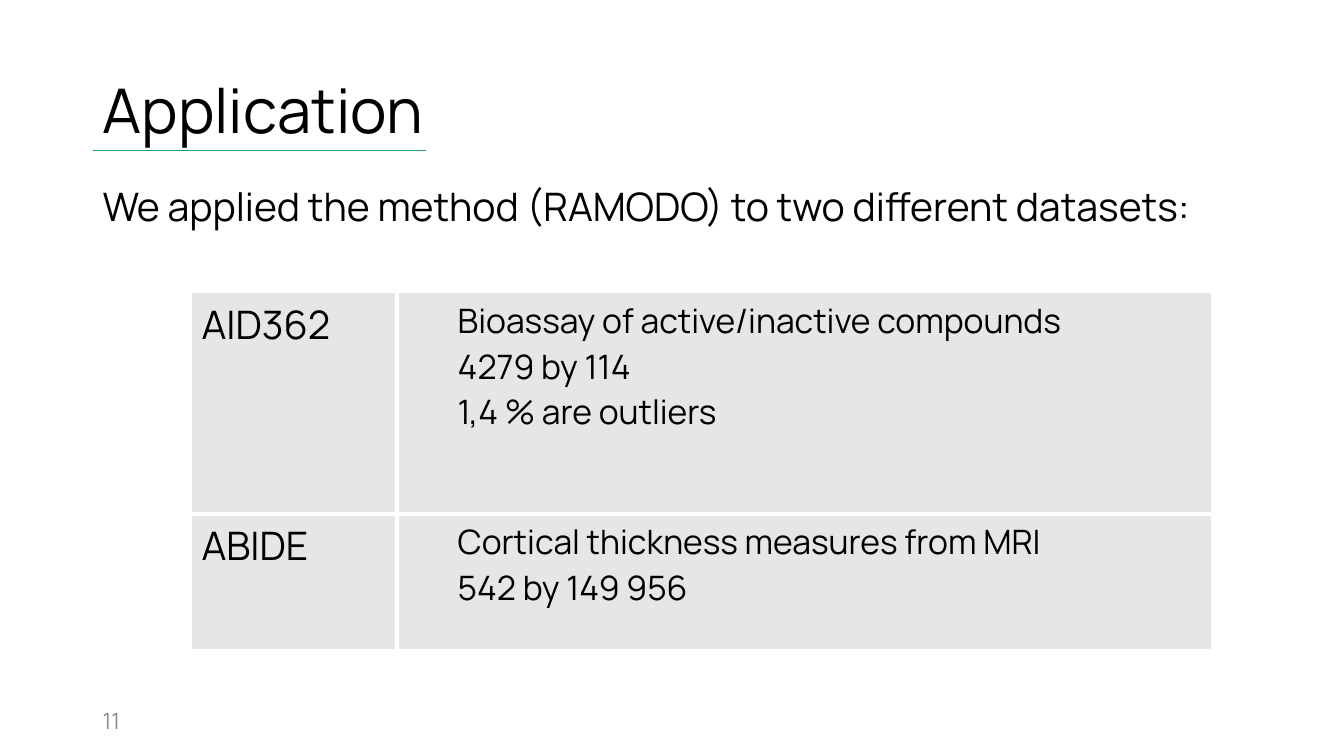
from lxml import etree
from pptx import Presentation
from pptx import util as u
from pptx.dml.color import RGBColor
from pptx.enum import shapes, text
from pptx.oxml import ns

FONT = "Manrope"
BLACK, GREY, WHITE, PANEL, GREEN = "000000", "8C8C8C", "FFFFFF", "E7E6E6", "1D9A78"
MARGIN = 0.92
DATASETS = [
    ("AID362", ["Bioassay of active/inactive compounds", "4279 by 114", "1,4 % are outliers"]),
    ("ABIDE", ["Cortical thickness measures from MRI", "542 by 149 956"]),
]


def rgb(value):
    """Turn a hex string into a colour."""
    return RGBColor.from_string(value)


def write(frame, lines, size, color=BLACK, spacing=None, before=0, indent=0):
    """Fill a text frame with one formatted paragraph per line."""
    frame.word_wrap = True
    for index, line in enumerate(lines):
        paragraph = frame.paragraphs[0] if index == 0 else frame.add_paragraph()
        paragraph.space_before = u.Pt(before)
        if spacing:
            paragraph.line_spacing = spacing
        if indent:
            paragraph.level = 1
            properties = paragraph._p.get_or_add_pPr()
            properties.set("marL", str(u.Inches(indent)))
            properties.set("indent", "0")
        run = paragraph.add_run()
        run.text = line
        run.font.size = u.Pt(size)
        run.font.name = FONT
        run.font.color.rgb = rgb(color)


def add_text(slide, box, line, size, anchor=text.MSO_ANCHOR.MIDDLE, **style):
    """Place a line of text in the given box."""
    frame = slide.shapes.add_textbox(*map(u.Inches, box)).text_frame
    frame.vertical_anchor = anchor
    write(frame, [line], size, **style)


def add_heading(slide, box):
    """Place the title with its thin underline."""
    left, top, width, height = box
    add_text(slide, box, "Application", 44, spacing=0.9)
    rule_y = u.Inches(top + 1.09)
    underline = slide.shapes.add_connector(
        shapes.MSO_CONNECTOR.STRAIGHT, u.Inches(left), rule_y, u.Inches(left + 3.31), rule_y)
    underline.line.color.rgb = rgb(GREEN)
    underline.line.width = u.Pt(0.5)
    etree.SubElement(underline._element.spPr, ns.qn("a:effectLst"))


def add_border(cell, side):
    """Draw a white border on one side of a cell."""
    border = etree.SubElement(cell._tc.get_or_add_tcPr(), ns.qn("a:ln" + side), w=str(u.Pt(3)))
    fill = etree.SubElement(border, ns.qn("a:solidFill"))
    etree.SubElement(fill, ns.qn("a:srgbClr"), val=WHITE)


def add_datasets(slide, box):
    """Place the table of datasets and their descriptions."""
    table = slide.shapes.add_table(len(DATASETS), 2, *map(u.Inches, box)).table
    table.first_row = table.horz_banding = False
    for column, width in zip(table.columns, (2.04, 8.08)):
        column.width = u.Inches(width)
    for row, height in zip(table.rows, (2.2, 1.34)):
        row.height = u.Inches(height)
    for row_index, (dataset, facts) in enumerate(DATASETS):
        name_cell, facts_cell = table.rows[row_index].cells
        for cell, side in ((name_cell, "R"), (facts_cell, "L")):
            add_border(cell, side)
            add_border(cell, "T" if row_index else "B")
            cell.fill.solid()
            cell.fill.fore_color.rgb = rgb(PANEL)
        write(name_cell.text_frame, [dataset], 28)
        write(facts_cell.text_frame, facts, 24, indent=0.5)


def main():
    """Build and save the slide."""
    deck = Presentation()
    deck.slide_width, deck.slide_height = u.Inches(13.33), u.Inches(7.5)
    slide = deck.slides.add_slide(deck.slide_layouts[6])
    add_heading(slide, (MARGIN, 0.4, 11.5, 1.45))
    add_text(slide, (MARGIN, 1.81, 11.7, 0.79),
             "We applied the method (RAMODO) to two different datasets:", 28,
             anchor=text.MSO_ANCHOR.TOP, spacing=0.9, before=10)
    add_datasets(slide, (1.9, 2.9, 10.13, 3.54))
    add_text(slide, (MARGIN, 6.95, 3, 0.4), "11", 16, color=GREY)
    deck.save("out.pptx")


if __name__ == "__main__":
    main()
